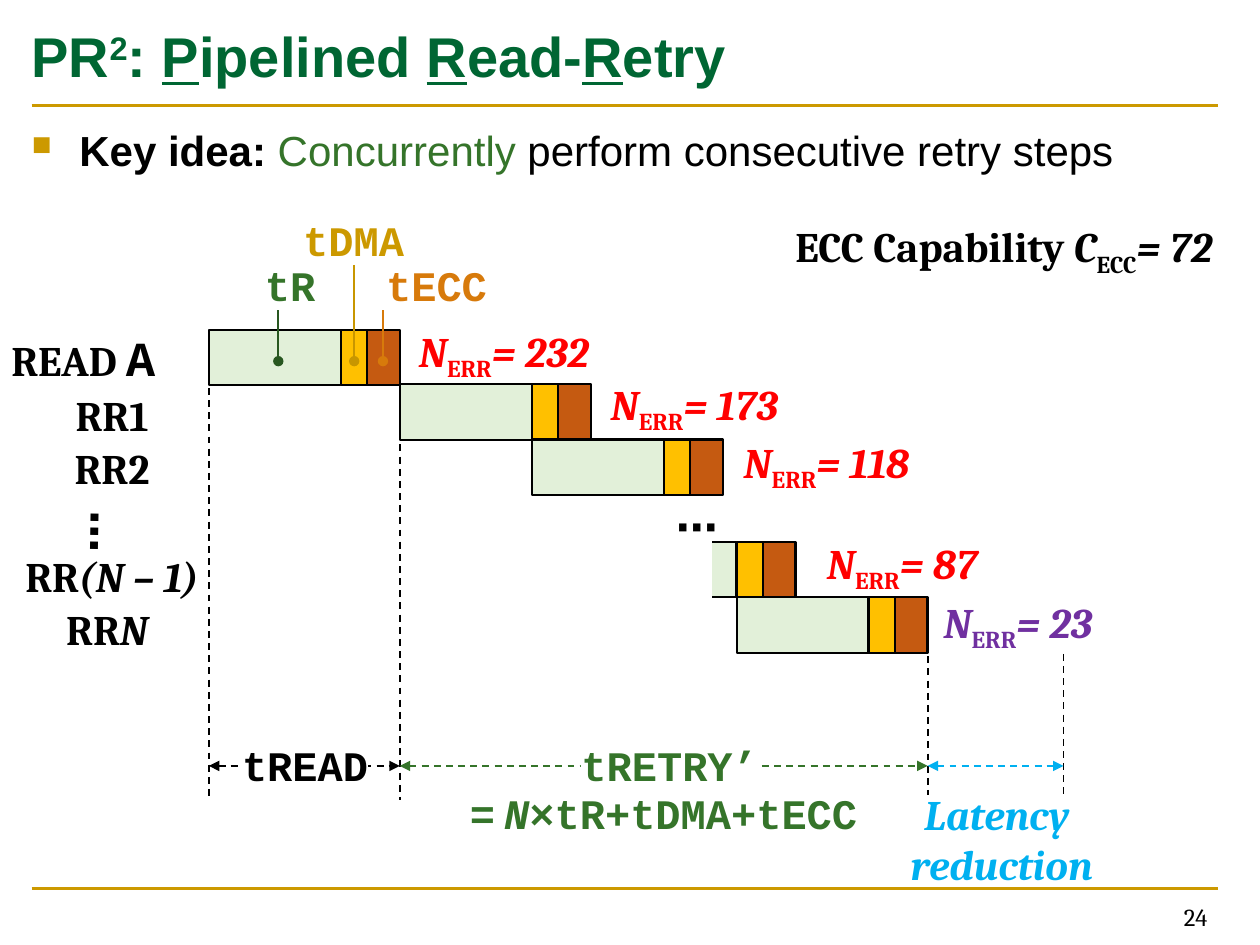
from pptx import Presentation
from pptx.dml.color import RGBColor
from pptx.enum.dml import MSO_LINE
from pptx.enum.shapes import MSO_CONNECTOR, MSO_SHAPE
from pptx.enum.text import MSO_ANCHOR, PP_ALIGN
from pptx.oxml.ns import qn
from pptx.util import Cm, Pt
from lxml import etree

rgb = RGBColor.from_string
GOLD, GREEN, ORANGE, BLACK, BLUE = "CC9900", "35742A", "D77A0B", "000000", "00B0F0"
SERIF = {"name": "Cambria", "size": Pt(24), "bold": True}
MONO = {**SERIF, "name": "Courier New"}
SANS = {**SERIF, "name": "Arial"}
DOTS = {**SERIF, "name": "Calibri"}
ITALIC = {"italic": True}
SUB = {"baseline": -25000}

prs = Presentation()
prs.slide_width, prs.slide_height = Cm(25.4), Cm(19.05)
s = prs.slides.add_slide(prs.slide_layouts[6])


def add_text(x, y, w, h, runs, fmt, color=BLACK, align=PP_ALIGN.CENTER, fill=None):
    """Add a text box; runs are (text, format changes), and "\\n" breaks the line."""
    sp = s.shapes.add_textbox(Cm(x), Cm(y), Cm(w), Cm(h))
    if fill:
        sp.fill.solid()
        sp.fill.fore_color.rgb = rgb(fill)
    tf = sp.text_frame
    tf.word_wrap = True
    tf.vertical_anchor = MSO_ANCHOR.MIDDLE
    tf.margin_left = tf.margin_right = tf.margin_top = tf.margin_bottom = 0
    p = tf.paragraphs[0]
    p.alignment = align
    for text, changes in runs:
        if text == "\n":
            p.add_line_break()
            continue
        r = p.add_run()
        r.text = text
        values = {"color": color, **fmt, **changes}
        r.font.color.rgb = rgb(values.pop("color"))
        if "baseline" in values:
            r.font._element.set("baseline", str(values.pop("baseline")))
        for key, value in values.items():
            setattr(r.font, key, value)
    return sp


def add_line(x1, y1, x2, y2, color, width=1, dash=False, head=None, tail=None):
    c = s.shapes.add_connector(MSO_CONNECTOR.STRAIGHT, Cm(x1), Cm(y1), Cm(x2), Cm(y2))
    c.line.color.rgb = rgb(color)
    c.line.width = Pt(width)
    if dash:
        c.line.dash_style = MSO_LINE.DASH
    ln = c.line._get_or_add_ln()
    for tag, kind in (("a:headEnd", head), ("a:tailEnd", tail)):
        if kind:
            etree.SubElement(ln, qn(tag), type=kind)
    etree.SubElement(c._element.spPr, qn("a:effectLst"))


# Title, rules and slide number
for y in (2.13, 17.91):
    add_line(0.64, y, 24.55, y, GOLD, 1.5)
U = {"underline": True}
add_text(0.64, 0.1, 23.93, 2.01,
         [("PR", {}), ("2", {"baseline": 30000}), (": ", {}), ("P", U), ("ipelined ", {}),
          ("R", U), ("ead-", {}), ("R", U), ("etry", {})],
         {**SANS, "size": Pt(32)}, "006633", PP_ALIGN.LEFT)
add_text(18.67, 18.06, 5.67, 0.86, [("24", {})],
         {"name": "Cambria", "size": Pt(14)}, align=PP_ALIGN.RIGHT)

# Key idea with a square bullet
sp = add_text(0.64, 2.5, 23.93, 1.02,
              [("Key idea: ", {}), ("Concurrently", {"color": GREEN, "bold": False}),
               (" perform consecutive retry steps", {"bold": False})],
              SANS, align=PP_ALIGN.LEFT)
pPr = sp.text_frame.paragraphs[0]._p.get_or_add_pPr()
pPr.set("marL", str(Cm(0.96)))
pPr.set("indent", str(Cm(-0.96)))
etree.SubElement(etree.SubElement(pPr, qn("a:buClr")), qn("a:srgbClr"), val=GOLD)
etree.SubElement(pPr, qn("a:buSzPct"), val="65000")
etree.SubElement(pPr, qn("a:buChar"), char="■")

# ECC capability
add_text(15.24, 4.39, 10, 1.27,
         [("ECC Capability", {}), (" C", ITALIC), ("ECC", SUB), ("= 72", ITALIC)], SERIF)

# Row labels
for x, y, runs in (
    (0.08, 6.69, [("READ ", {}), ("A", {"name": "Courier New", "size": Pt(28)})]),
    (0.46, 7.85, [("RR1", {})]),
    (0.46, 8.92, [("RR2", {})]),
    (0.46, 11.1, [("RR", {}), ("(N – 1)", ITALIC)]),
    (0.36, 12.17, [("RR", {}), ("N", ITALIC)]),
):
    add_text(x, y, 3.2 if x < 0.1 else 3.6, 1.02, runs, SERIF)
add_text(1.4, 9.86, 1.09, 1.7, [("⋯", {})], DOTS).rotation = 91

# Read steps: each bar is sensing, transfer and decoding
T_R, T_DMA, T_ECC, BAR_H = 2.66, 0.53, 0.66, 1.12
T_READ = T_R + T_DMA + T_ECC
X0, X_LAST = 4.21, 12.19
X1 = X0 + T_READ
X_END = X_LAST + T_R + T_READ
for x, y, label_x, label_y, count, color in (
    (X0, 6.65, 7.67, 6.5, 232, "FF0000"),
    (X1, 7.75, 11.51, 7.57, 173, "FF0000"),
    (X1 + T_R, 8.86, 14.17, 8.74, 118, "FF0000"),
    (X_LAST, 10.92, 15.7, 10.77, 87, "FF0000"),
    (X_LAST + T_R, 12.04, 18.03, 11.96, 23, "7030A0"),
):
    for w, fill in ((T_R, "E2F0D9"), (T_DMA, "FFC000"), (T_ECC, "C55A11")):
        sp = s.shapes.add_shape(MSO_SHAPE.RECTANGLE, Cm(x), Cm(y), Cm(w), Cm(BAR_H))
        sp.shadow.inherit = False
        sp.fill.solid()
        sp.fill.fore_color.rgb = rgb(fill)
        sp.line.color.rgb = rgb(BLACK)
        sp.line.width = Pt(1.25)
        x += w
    add_text(label_x, label_y, 4.98, 1.27,
             [("N", ITALIC), ("ERR", SUB), (f"= {count}", ITALIC)], SERIF, color)

# Cut-off start of the fourth bar, with the ellipsis above it
sp = s.shapes.add_shape(MSO_SHAPE.RECTANGLE, Cm(12.09), Cm(10.82), Cm(2.26), Cm(1.37))
sp.shadow.inherit = False
sp.fill.solid()
sp.fill.fore_color.rgb = rgb("FFFFFF")
sp.line.fill.background()
add_text(13.54, 10.06, 1.02, 1.09, [("⋯", {})], DOTS)

# Phase names with leaders into the first bar
for name, x, y, w, color, leader_x, leader_color in (
    ("tR", 4.35, 5.23, 3, GREEN, 5.61, "285720"),
    ("tECC", 7.3, 5.23, 3, ORANGE, 7.72, ORANGE),
    ("tDMA", 5.63, 4.32, 3, GOLD, 7.14, "C89600"),
):
    add_text(x, y, w, 1.02, [(name, {})], MONO, color)
    add_line(leader_x, y + 1.02, leader_x, 7.28, leader_color, tail="oval")

# Time guides
X_OLD_END = 21.44
for x, top, bottom in ((X0, 7.82, 16.13), (X1, 7.98, 16.13),
                       (X_END, 13.23, 16.03), (X_OLD_END, 13.18, 16.03)):
    add_line(x, top, x, bottom, BLACK, dash=True)

# Time spans and their labels
for x1, x2, color in ((X0, X1, BLACK), (X1, X_END, GREEN), (X_END, X_OLD_END, BLUE)):
    add_line(x1, 15.44, x2, 15.44, color, dash=True, head="triangle", tail="triangle")
add_text(4.88, 14.9, 2.54, 1.02, [("tREAD", {})], MONO, fill="FFFFFF")
add_text(11.71, 14.9, 3.58, 1.02, [("tRETRY’", {})], MONO, GREEN, fill="FFFFFF")
add_text(8.69, 15.88, 9.37, 1.02,
         [("=", ITALIC), (" ", {"name": "Cambria"}), ("N×", ITALIC), ("tR+tDMA+tECC", {})],
         MONO, GREEN, fill="FFFFFF")
add_text(17.1, 15.88, 6, 2.06, [("Latency", ITALIC), ("\n", {}), (" reduction", ITALIC)],
         SERIF, BLUE)

prs.save("out.pptx")
